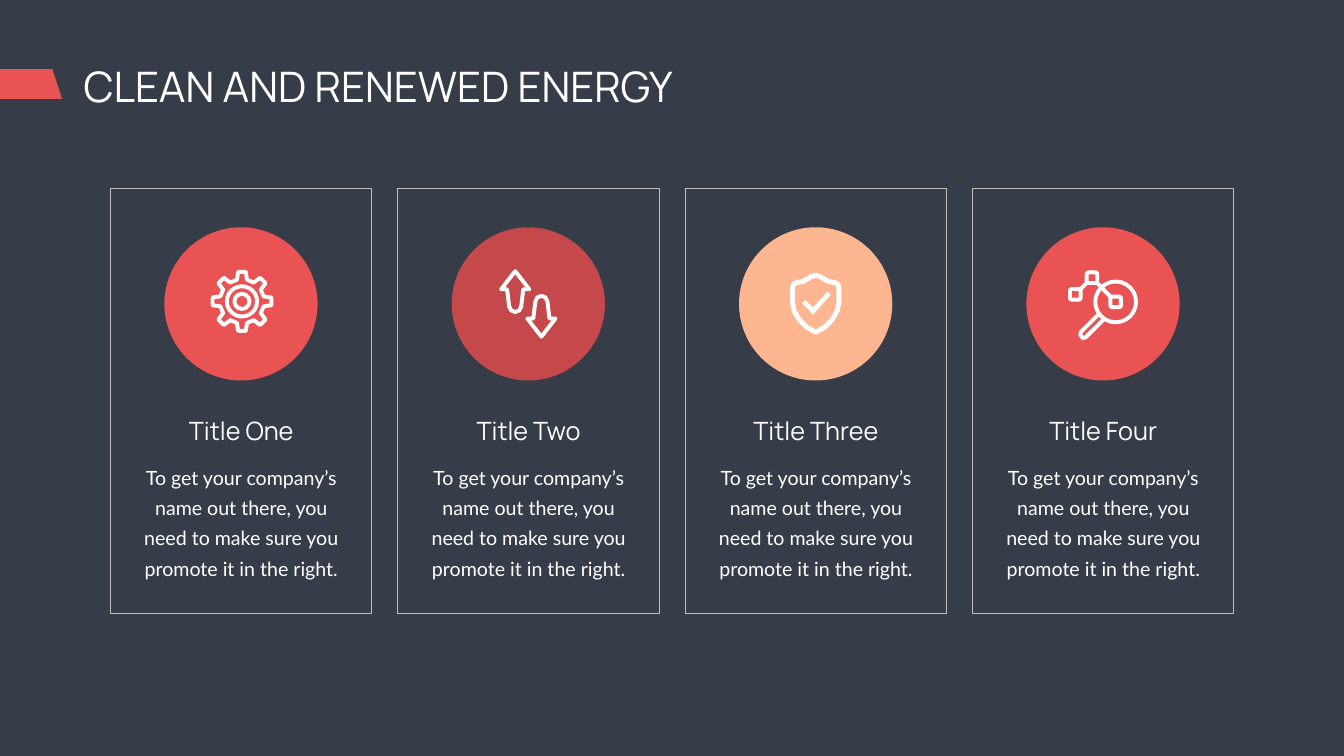
from math import cos, radians, sin

from lxml.etree import SubElement
from pptx import Presentation
from pptx.dml.color import RGBColor
from pptx.enum.shapes import MSO_CONNECTOR, MSO_SHAPE
from pptx.enum.text import MSO_AUTO_SIZE, PP_ALIGN
from pptx.oxml.ns import qn
from pptx.util import Inches, Pt

BACKGROUND, WHITE, BORDER = "363D48", "FFFFFF", "BFBFBF"
RED, DARK_RED, PEACH, ICON_RED = "E95354", "C5494B", "FEB691", "E95353"
CARD_LEFT, CARD_TOP, CARD_WIDTH, CARD_HEIGHT, CARD_PITCH = 2.19, 3.73, 5.18, 8.44, 5.7
CIRCLE_SIZE, CIRCLE_MIDDLE = 3.04, 6.03
STROKE = 5.6
BODY = "To get your company’s name out there, you need to make sure you promote it in the right."


def paint(fill_format, color):
    """Set a fill format to a solid hex colour."""
    fill_format.solid()
    fill_format.fore_color.rgb = RGBColor.from_string(color)


def style(shape, fill=None, line=None, weight=STROKE):
    """Give a shape its fill and outline, without a shadow."""
    shape.shadow.inherit = False
    if fill:
        paint(shape.fill, fill)
    else:
        shape.fill.background()
    if line:
        paint(shape.line.fill, line)
        shape.line.width = Pt(weight)
    else:
        shape.line.fill.background()


def add_preset(shapes, kind, left, top, width, height, **look):
    """Add a styled preset shape."""
    shape = shapes.add_shape(kind, Inches(left), Inches(top), Inches(width), Inches(height))
    style(shape, **look)


def add_centred(shapes, kind, x, y, size, **look):
    """Add a square-sided preset shape around a centre point."""
    add_preset(shapes, kind, x - size / 2, y - size / 2, size, size, **look)


def add_outline(shapes, x, y, points, close=True, **look):
    """Draw a freeform through points given relative to (x, y)."""
    corners = [(Inches(x + dx), Inches(y + dy)) for dx, dy in points]
    builder = shapes.build_freeform(*corners[0], scale=1.0)
    builder.add_line_segments(corners[1:], close=close)
    shape = builder.convert_to_shape()
    style(shape, **look)
    if "line" in look:
        SubElement(shape._element.spPr.find(qn("a:ln")), qn("a:round"))


def add_link(shapes, x1, y1, x2, y2):
    """Draw a straight white icon stroke."""
    connector = shapes.add_connector(
        MSO_CONNECTOR.STRAIGHT, Inches(x1), Inches(y1), Inches(x2), Inches(y2))
    paint(connector.line.fill, WHITE)
    connector.line.width = Pt(STROKE)
    SubElement(connector._element.spPr, qn("a:effectLst"))


def add_text(shapes, box, text, size, font, align=PP_ALIGN.LEFT, spacing=None):
    """Add a wrapped white text box with one paragraph."""
    frame = shapes.add_textbox(*map(Inches, box)).text_frame
    frame.word_wrap = True
    frame.auto_size = MSO_AUTO_SIZE.SHAPE_TO_FIT_TEXT
    paragraph = frame.paragraphs[0]
    paragraph.alignment = align
    if spacing:
        paragraph.line_spacing = Pt(spacing)
    run = paragraph.add_run()
    run.text = text
    run.font.size = Pt(size)
    run.font.name = font
    paint(run.font.fill, WHITE)


def draw_gear(shapes, x, y):
    """Draw an eight-toothed gear with two rings."""
    x, y = x + 0.02, y - 0.05
    tooth = [(-13, 0.44), (-7.5, 0.59), (7.5, 0.59), (13, 0.44)]
    points = [(radius * cos(radians(turn + angle)), radius * sin(radians(turn + angle)))
              for turn in range(0, 360, 45) for angle, radius in tooth]
    add_outline(shapes, x, y, points, line=WHITE)
    for size in (0.6, 0.3):
        add_centred(shapes, MSO_SHAPE.OVAL, x, y, size, line=WHITE)


def draw_arrows(shapes, x, y):
    """Draw one arrow up and one arrow down."""
    half = [(0, -0.4), (0.28, -0.04), (0.16, -0.04), (0.12, 0.3), (0.08, 0.38), (0, 0.41)]
    arrow = half + [(-dx, dy) for dx, dy in half[-2:0:-1]]
    for direction in (1, -1):
        points = [(dx * direction, dy * direction) for dx, dy in arrow]
        add_outline(shapes, x - 0.26 * direction, y - 0.25 * direction, points, line=WHITE)


def draw_shield(shapes, x, y):
    """Draw a shield with a check mark."""
    half = [(0, -0.57), (0.09, -0.54), (0.24, -0.45), (0.38, -0.42), (0.44, -0.39),
            (0.46, -0.32), (0.46, -0.03), (0.43, 0.13), (0.33, 0.31), (0.18, 0.46), (0, 0.56)]
    shield = half + [(-dx, dy) for dx, dy in half[-2:0:-1]]
    add_outline(shapes, x, y, shield, line=WHITE, weight=7)
    check = [(-0.05, 0.07), (-0.21, -0.08), (-0.27, -0.01), (-0.05, 0.21), (0.3, -0.18), (0.23, -0.24)]
    add_outline(shapes, x, y, check, fill=WHITE)


def draw_magnifier(shapes, x, y):
    """Draw a magnifier over a chain of three nodes."""
    nodes = [(x - 0.55, y - 0.19), (x - 0.22, y - 0.52), (x + 0.25, y - 0.04)]
    add_centred(shapes, MSO_SHAPE.OVAL, *nodes[-1], 0.81, line=WHITE)
    for node in nodes:
        add_centred(shapes, MSO_SHAPE.ROUNDED_RECTANGLE, *node, 0.21, line=WHITE)
    for (x1, y1), (x2, y2) in zip(nodes, nodes[1:]):
        gap = 0.1 if y2 > y1 else -0.1
        add_link(shapes, x1 + 0.1, y1 + gap, x2 - 0.1, y2 - gap)
    handle = [(-0.1, 0.22), (-0.44, 0.56), (-0.45, 0.62), (-0.4, 0.68), (-0.34, 0.66), (0, 0.32)]
    add_outline(shapes, x, y, handle, close=False, line=WHITE)


def add_card(shapes, left, title, color, draw_icon):
    """Add a bordered card with its circle, icon, title and body."""
    add_preset(shapes, MSO_SHAPE.RECTANGLE, left, CARD_TOP, CARD_WIDTH, CARD_HEIGHT,
               line=BORDER, weight=1)
    middle = left + CARD_WIDTH / 2
    add_centred(shapes, MSO_SHAPE.OVAL, middle, CIRCLE_MIDDLE, CIRCLE_SIZE, fill=color)
    draw_icon(shapes.add_group_shape().shapes, middle, CIRCLE_MIDDLE)
    texts = shapes.add_group_shape().shapes
    add_text(texts, (left + 0.5, 9.07, 4.19, 2.46), BODY, 28, "Lato", PP_ALIGN.CENTER, 43)
    add_text(texts, (left + 0.5, 8.19, 4.19, 0.71), title, 36, "Manrope", PP_ALIGN.CENTER)


def main():
    """Build the slide and save it."""
    presentation = Presentation()
    presentation.slide_width, presentation.slide_height = Inches(26.66), Inches(15)
    slide = presentation.slides.add_slide(presentation.slide_layouts[6])
    paint(slide.background.fill, BACKGROUND)
    shapes = slide.shapes
    add_text(shapes, (1.56, 1.16, 15.5, 1.11), "CLEAN AND RENEWED ENERGY", 60, "Manrope")
    add_outline(shapes, 0, 1.37, [(0, 0), (1.04, 0), (1.23, 0.59), (0, 0.59)], fill=RED)
    cards = [
        ("Title One", RED, draw_gear),
        ("Title Two", DARK_RED, draw_arrows),
        ("Title Three", PEACH, draw_shield),
        ("Title Four", ICON_RED, draw_magnifier),
    ]
    for index, card in enumerate(cards):
        add_card(shapes, CARD_LEFT + index * CARD_PITCH, *card)
    presentation.save("out.pptx")


if __name__ == "__main__":
    main()
